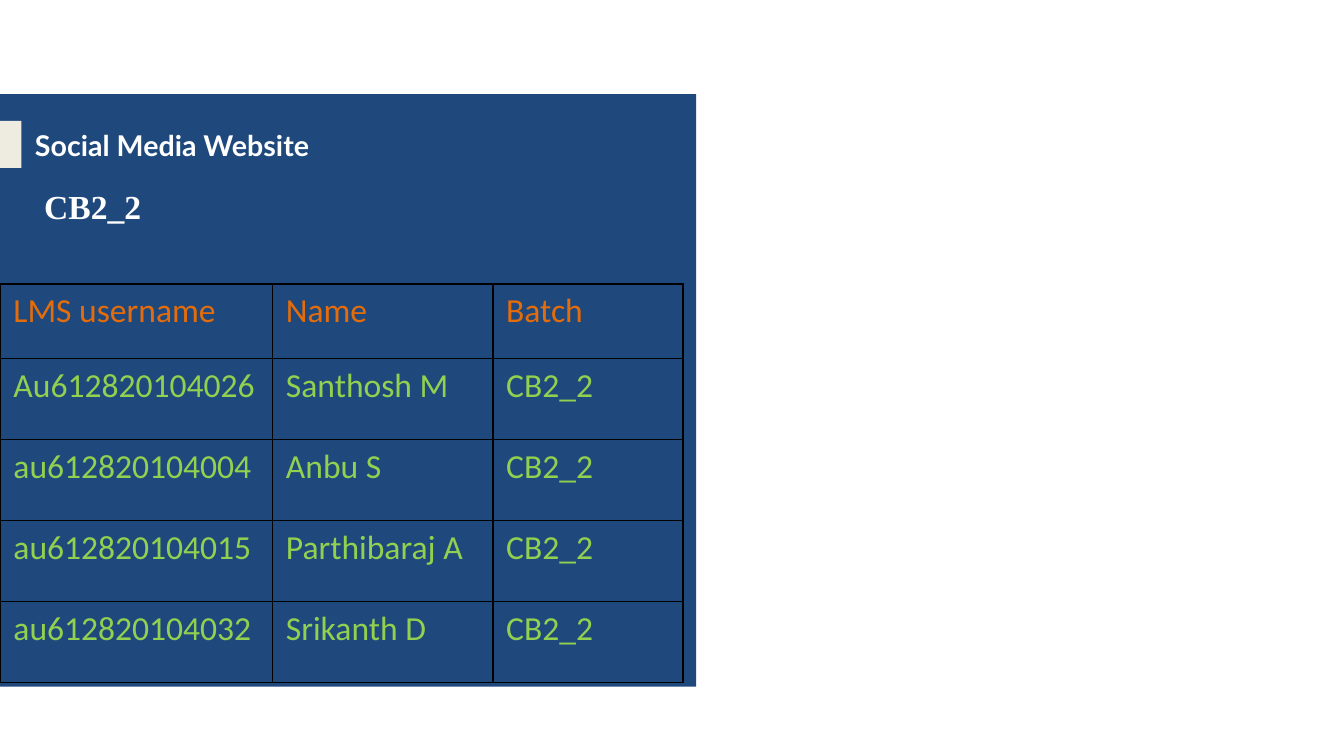
from lxml.etree import SubElement
from pptx import Presentation
from pptx.dml.color import RGBColor
from pptx.enum.shapes import MSO_SHAPE
from pptx.enum.text import MSO_ANCHOR, MSO_AUTO_SIZE, PP_ALIGN
from pptx.oxml.ns import qn
from pptx.util import Pt

NAVY, CREAM, WHITE = "1F497D", "EEECE1", "FFFFFF"
ORANGE, GREEN, BLACK = "E46C0A", "92D050", "000000"

COLUMN_WIDTHS = [146, 118, 102]
ROW_HEIGHTS = [40] + [43.4] * 4
BATCH = "CB2_2"
HEADER = ["LMS username", "Name", "Batch"]
MEMBERS = [
    ("Au612820104026", "Santhosh M"),
    ("au612820104004", "Anbu S"),
    ("au612820104015", "Parthibaraj A"),
    ("au612820104032", "Srikanth D"),
]


def color(value):
    return RGBColor.from_string(value)


def write(frame, text, size=18, font="Calibri", fill=WHITE, bold=False):
    """Put one formatted, left-aligned line into a text frame."""
    para = frame.paragraphs[0]
    para.alignment = PP_ALIGN.LEFT
    span = para.add_run()
    span.text = text
    span.font.size = Pt(size)
    span.font.name = font
    span.font.bold = bold
    span.font.color.rgb = color(fill)


def place(box, left, top, width, height):
    box.left, box.top = Pt(left), Pt(top)
    box.width, box.height = Pt(width), Pt(height)


def add_panel(page, left, top, width, height, fill):
    panel = page.shapes.add_shape(
        MSO_SHAPE.RECTANGLE, Pt(left), Pt(top), Pt(width), Pt(height))
    panel.shadow.inherit = False
    panel.fill.solid()
    panel.fill.fore_color.rgb = color(fill)
    panel.line.fill.background()


def set_title(page, text):
    title = page.shapes.title
    place(title, 11.5, 64, 269, 27.5)
    frame = title.text_frame
    frame.auto_size = MSO_AUTO_SIZE.NONE
    frame.vertical_anchor = MSO_ANCHOR.MIDDLE
    write(frame, text, size=15.3, font="Lato", bold=True)
    # Bring the title in front of the panels
    page.shapes._spTree.append(title._element)


def add_label(page, text, left, top, width, height, **style):
    box = page.shapes.add_textbox(Pt(left), Pt(top), Pt(width), Pt(height))
    box.text_frame.word_wrap = True
    box.text_frame.auto_size = MSO_AUTO_SIZE.SHAPE_TO_FIT_TEXT
    write(box.text_frame, text, **style)


def outline(cell):
    """Draw a thin black border on every side of a cell."""
    properties = cell._tc.get_or_add_tcPr()
    for index, side in enumerate(("lnL", "lnR", "lnT", "lnB")):
        line = properties.makeelement(qn("a:" + side), {"w": str(Pt(1))})
        fill = SubElement(line, qn("a:solidFill"))
        SubElement(fill, qn("a:srgbClr"), val=BLACK)
        properties.insert(index, line)


def add_member_table(page, left, top):
    rows = [HEADER] + [[*member, BATCH] for member in MEMBERS]
    table = page.shapes.add_table(
        len(rows), len(HEADER), Pt(left), Pt(top),
        Pt(sum(COLUMN_WIDTHS)), Pt(sum(ROW_HEIGHTS))).table
    for column, width in zip(table.columns, COLUMN_WIDTHS):
        column.width = Pt(width)
    for row, height in zip(table.rows, ROW_HEIGHTS):
        row.height = Pt(height)
    for row_index, values in enumerate(rows):
        for column_index, value in enumerate(values):
            cell = table.cell(row_index, column_index)
            cell.fill.solid()
            cell.fill.fore_color.rgb = color(NAVY)
            outline(cell)
            write(cell.text_frame, value, fill=GREEN if row_index else ORANGE)


def main():
    deck = Presentation()
    deck.slide_width, deck.slide_height = Pt(720), Pt(405)
    page = deck.slides.add_slide(deck.slide_layouts[5])

    # Background panel and accent
    add_panel(page, 0, 50.4, 373, 317.5, NAVY)
    add_panel(page, 0, 64.8, 11.5, 25.2, CREAM)

    # Headings and team table
    set_title(page, "Social Media Website")
    add_member_table(page, 0, 152)
    add_label(page, BATCH, 16.6, 96, 138, 29,
              font="Times New Roman", bold=True)

    deck.save("out.pptx")


if __name__ == "__main__":
    main()
